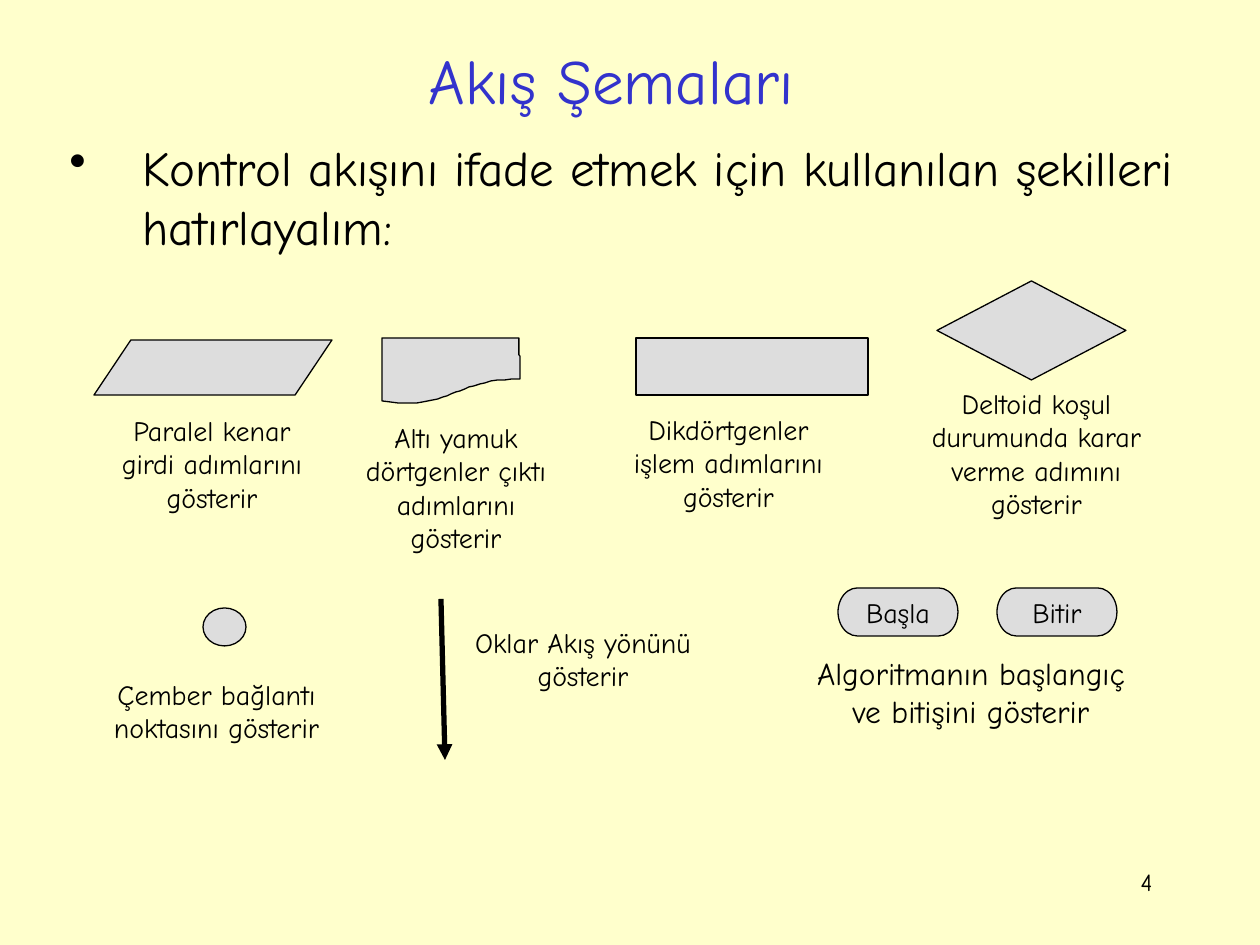
from typing import NamedTuple, Optional

from lxml.etree import SubElement
from pptx import Presentation
from pptx.dml.color import RGBColor
from pptx.enum.shapes import MSO_CONNECTOR, MSO_SHAPE
from pptx.enum.text import MSO_ANCHOR, PP_ALIGN
from pptx.oxml.ns import qn
from pptx.util import Emu, Pt

SCALE = 914400 // 126  # EMU per pixel
FONT = "Comic Neue"
INK, GREY, BLUE, CREAM = "000000", "DDDDDD", "3333CC", "FFFFCC"


class Box(NamedTuple):
    left: int
    top: int
    width: int
    height: int


class Symbol(NamedTuple):
    preset: MSO_SHAPE
    box: Box
    label: str = ""
    adjustment: Optional[float] = None


class Caption(NamedTuple):
    words: str
    box: Box
    size: int = 16
    color: str = INK
    align: PP_ALIGN = PP_ALIGN.CENTER
    anchor: MSO_ANCHOR = MSO_ANCHOR.TOP


class Point(NamedTuple):
    x: float
    y: float


def px(pixels: float) -> Emu:
    return Emu(round(pixels * SCALE))


def rgb(value: str) -> RGBColor:
    return RGBColor.from_string(value)


def write(frame, words: str, size: int, color: str, align: PP_ALIGN):
    paragraph = frame.paragraphs[0]
    paragraph.alignment = align
    run = paragraph.add_run()
    run.text = words
    run.font.name = FONT
    run.font.size = Pt(size)
    run.font.color.rgb = rgb(color)
    return paragraph


def add_caption(slide, caption: Caption):
    frame = slide.shapes.add_textbox(*map(px, caption.box)).text_frame
    frame.word_wrap = True
    frame.vertical_anchor = caption.anchor
    return write(frame, caption.words, caption.size, caption.color, caption.align)


def paint(shape) -> None:
    shape.shadow.inherit = False
    shape.fill.solid()
    shape.fill.fore_color.rgb = rgb(GREY)
    shape.line.color.rgb = rgb(INK)
    shape.line.width = Pt(0.75)


def add_symbol(slide, symbol: Symbol) -> None:
    shape = slide.shapes.add_shape(symbol.preset, *map(px, symbol.box))
    paint(shape)
    if symbol.adjustment is not None:
        shape.adjustments[0] = symbol.adjustment
    if symbol.label:
        shape.text_frame.word_wrap = False
        shape.text_frame.vertical_anchor = MSO_ANCHOR.MIDDLE
        write(shape.text_frame, symbol.label, 16, INK, PP_ALIGN.CENTER)


def curve(a: Point, b: Point, c: Point, d: Point, steps: int = 24) -> list[Point]:
    points = []
    for step in range(1, steps + 1):
        t = step / steps
        weights = ((1 - t) ** 3, 3 * t * (1 - t) ** 2, 3 * t * t * (1 - t), t ** 3)
        points.append(Point(*(sum(w * v for w, v in zip(weights, axis))
                              for axis in zip(a, b, c, d))))
    return points


def add_output_symbol(slide) -> None:
    start, corner = Point(382, 338), Point(519, 338)
    right, left = Point(520.5, 379), Point(382, 401)
    edge = curve(corner, Point(519, 357), Point(520.5, 362), right)
    wave = curve(right, Point(452, 379), Point(451, 412), left)
    builder = slide.shapes.build_freeform(*start, scale=SCALE)
    builder.add_line_segments([corner, *edge, *wave], close=True)
    paint(builder.convert_to_shape())


def add_flow_arrow(slide, tail: Point, head: Point) -> None:
    arrow = slide.shapes.add_connector(MSO_CONNECTOR.STRAIGHT, *map(px, (*tail, *head)))
    arrow.line.color.rgb = rgb(INK)
    arrow.line.width = Pt(3)
    SubElement(arrow.line._get_or_add_ln(), qn("a:tailEnd"), type="triangle")
    SubElement(arrow._element.spPr, qn("a:effectLst"))


def add_bullet(paragraph, indent: int) -> None:
    properties = paragraph._p.get_or_add_pPr()
    properties.set("marL", str(px(indent)))
    properties.set("indent", str(-px(indent)))
    paragraph.space_before = Pt(5.6)
    SubElement(properties, qn("a:buChar"), char="•")


SYMBOLS = [
    Symbol(MSO_SHAPE.PARALLELOGRAM, Box(94, 340, 238, 55), adjustment=0.67),
    Symbol(MSO_SHAPE.RECTANGLE, Box(636, 338, 232, 57)),
    Symbol(MSO_SHAPE.DIAMOND, Box(937, 281, 189, 99)),
    Symbol(MSO_SHAPE.OVAL, Box(203, 608, 43, 38)),
    *(Symbol(MSO_SHAPE.FLOWCHART_TERMINATOR, Box(838 + 159 * i, 588, 120, 48), label)
      for i, label in enumerate(("Başla", "Bitir"))),
]

CAPTIONS = [
    Caption("Akış Şemaları", Box(47, 33, 1129, 93), 36, BLUE, anchor=MSO_ANCHOR.MIDDLE),
    Caption("Paralel kenar girdi adımlarını gösterir", Box(94, 407, 236, 115)),
    Caption("Altı yamuk dörtgenler çıktı adımlarını gösterir", Box(339, 414, 234, 149)),
    Caption("Dikdörtgenler işlem adımlarını gösterir", Box(609, 406, 239, 115)),
    Caption("Deltoid koşul durumunda karar verme adımını gösterir", Box(898, 380, 277, 149)),
    Caption("Çember bağlantı noktasını gösterir", Box(54, 671, 325, 81)),
    Caption("Oklar Akış yönünü gösterir", Box(462, 619, 242, 81)),
    Caption("Algoritmanın başlangıç ve bitişini gösterir", Box(789, 648, 364, 89), 18),
    Caption("4", Box(903, 861, 262, 63), 14, align=PP_ALIGN.RIGHT),
]
INTRO = Caption("Kontrol akışını ifade etmek için kullanılan şekilleri hatırlayalım:",
                Box(57, 131, 1157, 123), 28, align=PP_ALIGN.LEFT)

# Slide and background
deck = Presentation()
deck.slide_width, deck.slide_height = px(1260), px(945)
slide = deck.slides.add_slide(deck.slide_layouts[6])
slide.background.fill.solid()
slide.background.fill.fore_color.rgb = rgb(CREAM)

# Title, captions and bulleted introduction
for caption in CAPTIONS:
    add_caption(slide, caption)
add_bullet(add_caption(slide, INTRO), 73)

# Flowchart symbols
for symbol in SYMBOLS:
    add_symbol(slide, symbol)
add_output_symbol(slide)
add_flow_arrow(slide, Point(441, 599), Point(445, 760))

deck.save("out.pptx")
